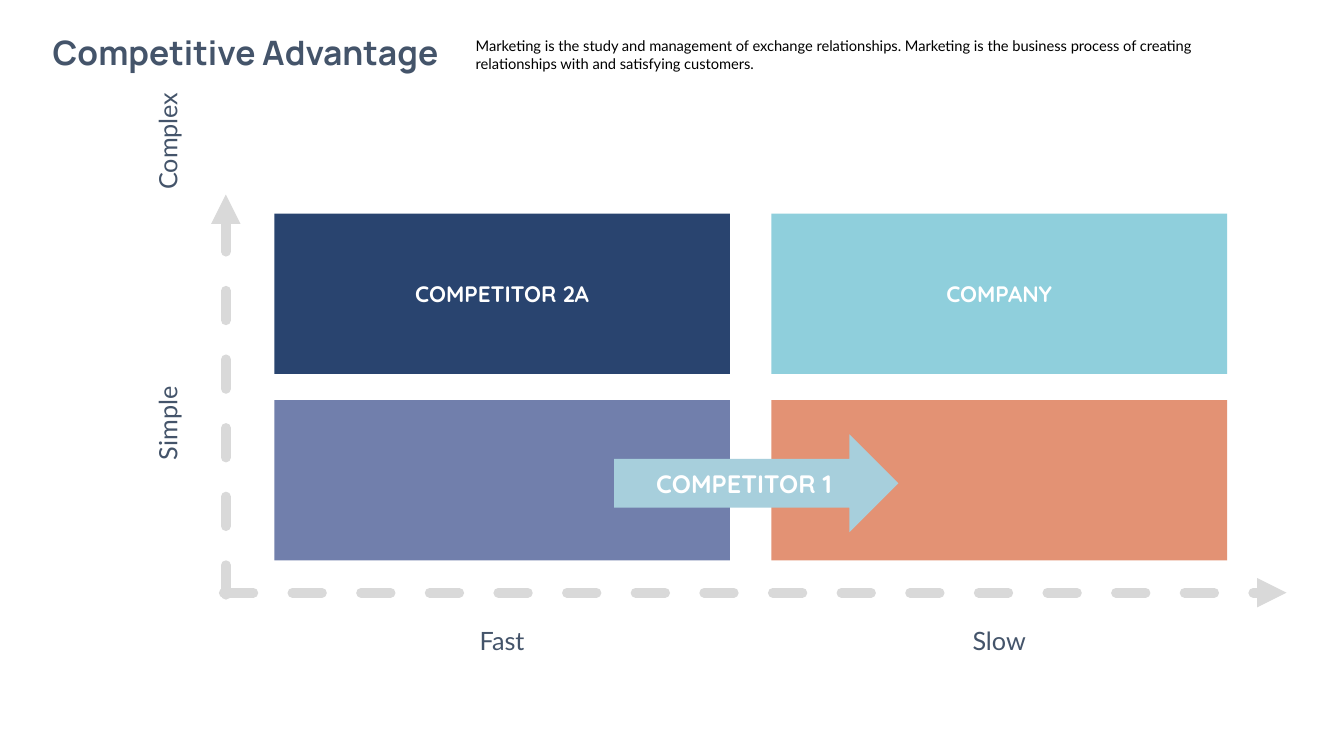
from lxml import etree
from pptx import Presentation
from pptx.dml.color import RGBColor
from pptx.enum.dml import MSO_LINE
from pptx.enum.shapes import MSO_CONNECTOR, MSO_SHAPE
from pptx.enum.text import MSO_ANCHOR, PP_ALIGN
from pptx.oxml.ns import qn
from pptx.util import Inches, Pt

RECTANGLE = MSO_SHAPE.RECTANGLE
RIGHT_ARROW = MSO_SHAPE.RIGHT_ARROW
STRAIGHT = MSO_CONNECTOR.STRAIGHT
DASH = MSO_LINE.DASH
MIDDLE = MSO_ANCHOR.MIDDLE
LEFT, CENTER = PP_ALIGN.LEFT, PP_ALIGN.CENTER

SLATE = "44546A"
WHITE = "FFFFFF"
AXIS_GREY = "D9D9D9"


def color(value):
    return RGBColor.from_string(value)


def write(shape, text, size, font, value, bold=False, align=CENTER):
    paragraph = shape.text_frame.paragraphs[0]
    paragraph.text = text
    paragraph.alignment = align
    paragraph.font.size = Pt(size)
    paragraph.font.name = font
    paragraph.font.bold = bold
    paragraph.font.color.rgb = color(value)


def add_label(page, box, text, size, font, value, bold=False,
              align=CENTER, rotation=0, wrap=True):
    label = page.shapes.add_textbox(*map(Inches, box))
    label.rotation = rotation
    label.text_frame.word_wrap = wrap
    write(label, text, size, font, value, bold, align)


def add_block(page, kind, box, fill, text="", size=16):
    block = page.shapes.add_shape(kind, *map(Inches, box))
    block.shadow.inherit = False
    block.fill.solid()
    block.fill.fore_color.rgb = color(fill)
    block.line.fill.background()
    block.text_frame.vertical_anchor = MIDDLE
    if text:
        write(block, text, size, "Quicksand", WHITE, bold=True)


def add_axis(page, start, end):
    axis = page.shapes.add_connector(STRAIGHT, *map(Inches, start + end))
    axis.line.color.rgb = color(AXIS_GREY)
    axis.line.width = Pt(7)
    axis.line.dash_style = DASH
    # Round caps, arrowhead and no shadow
    outline = axis.line._get_or_add_ln()
    outline.set("cap", "rnd")
    etree.SubElement(outline, qn("a:tailEnd"), type="triangle")
    etree.SubElement(axis._element.spPr, qn("a:effectLst"))


def add_header(page, box):
    left, top, width, height = box
    title_width = 4.37
    add_label(page, (left, top, title_width, height), "Competitive Advantage",
              24, "Manrope", SLATE, bold=True, wrap=False)
    add_label(page, (left + title_width, top + 0.05, width - title_width, 0.45),
              "Marketing is the study and management of exchange relationships. "
              "Marketing is the business process of creating relationships "
              "with and satisfying customers.",
              10.5, "Lato", "000000", align=LEFT)


def add_axes(page, box):
    left, top, width, height = box
    bottom = top + height
    add_axis(page, (left - 0.02, bottom - 0.02), (left + width, bottom - 0.02))
    add_axis(page, (left, bottom), (left, top))

    # Vertical axis labels, turned to read upwards
    for text, middle in (("Complex", top - 0.53), ("Simple", top + 2.27)):
        add_label(page, (left - 1.24, middle - 0.2, 1.32, 0.4), text,
                  18, "Lato", SLATE, rotation=270)

    # Horizontal axis labels
    for text, offset in (("Fast", 2.37), ("Slow", 7.3)):
        add_label(page, (left + offset, bottom + 0.25, 0.74, 0.4), text,
                  18, "Lato", SLATE)


def add_matrix(page, box):
    left, top, width, height = box
    block_width, block_height = 4.52, 1.59
    quadrants = (
        (("29446F", "COMPETITOR 2A"), ("8FCFDC", "COMPANY")),
        (("717FAC", ""), ("E39274", "")),
    )
    for row, line in enumerate(quadrants):
        for column, (fill, text) in enumerate(line):
            place = (left + column * (width - block_width),
                     top + row * (height - block_height),
                     block_width, block_height)
            add_block(page, RECTANGLE, place, fill, text)

    # Competitor moving from fast to slow
    add_block(page, RIGHT_ARROW, (left + 3.37, top + 2.19, 2.82, 0.97),
              "A7CFDC", "COMPETITOR 1", 18)


def main():
    deck = Presentation()
    deck.slide_width, deck.slide_height = Inches(13.33), Inches(7.5)
    page = deck.slides.add_slide(deck.slide_layouts[6])
    add_header(page, (0.25, 0.27, 12.09, 0.5))
    add_axes(page, (2.24, 1.93, 10.52, 3.97))
    add_matrix(page, (2.72, 2.12, 9.45, 3.44))
    deck.save("out.pptx")


if __name__ == "__main__":
    main()
